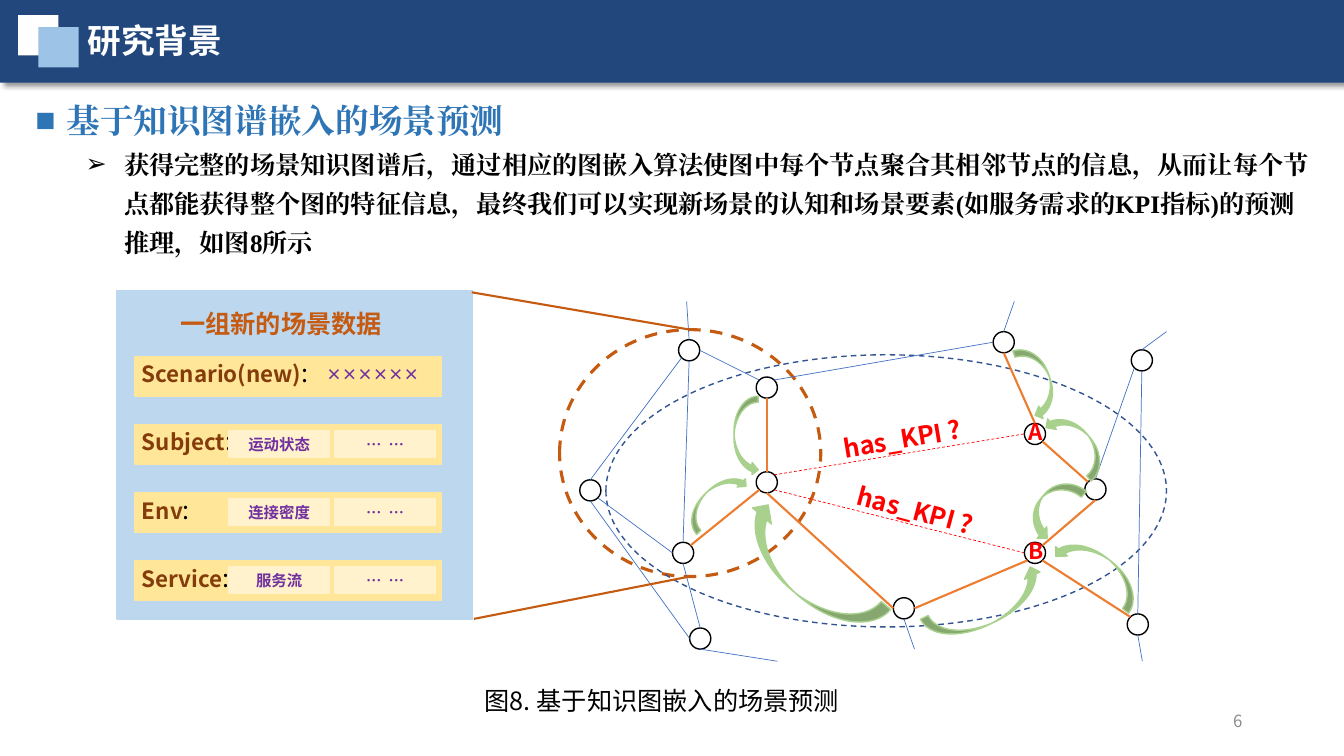
import pptx
import pptx.dml.color
import pptx.enum.dml
import pptx.enum.shapes
import pptx.enum.text
import pptx.oxml
import pptx.oxml.ns
import pptx.util
from dataclasses import dataclass

Inches = pptx.util.Inches
Shape = pptx.enum.shapes.MSO_SHAPE
Align = pptx.enum.text.PP_ALIGN
Anchor = pptx.enum.text.MSO_ANCHOR
NAMESPACE = pptx.oxml.ns.nsdecls("a")


@dataclass(frozen=True)
class Theme:
    sans: str = "Noto Sans CJK SC"
    serif: str = "Times New Roman"
    white: str = "FFFFFF"
    black: str = "000000"
    navy: str = "22477D"
    sky: str = "9DC3E6"
    heading: str = "2E75B6"
    scope: str = "325491"
    relation: str = "4472C4"
    path_orange: str = "ED7D31"
    rust: str = "C55A11"
    red: str = "FF0000"
    green: str = "A9D18E"
    panel: str = "BDD7EE"
    row: str = "FFE699"
    cell: str = "FFF2CC"
    brown: str = "843C0B"
    purple: str = "7030A0"
    gray: str = "8C8C8C"
    title_size: int = 24
    body_size: int = 18
    label_size: int = 16
    number_size: int = 12
    cell_size: int = 11


class SlideBuilder:
    def __init__(self, presentation, theme):
        self.theme = theme
        self.slide = presentation.slides.add_slide(presentation.slide_layouts[1])

    def place(self, shape, box):
        shape.left, shape.top, shape.width, shape.height = map(Inches, box)

    def style(self, run, size, color, bold=True, font=None):
        run.font.size = pptx.util.Pt(size)
        run.font.bold = bold
        run.font.color.rgb = pptx.dml.color.RGBColor.from_string(color)
        run.font.name = font or self.theme.sans
        east_asian = pptx.oxml.parse_xml(f'<a:ea {NAMESPACE} typeface="{run.font.name}"/>')
        run.font._element.find(pptx.oxml.ns.qn("a:latin")).addnext(east_asian)

    def stroke(self, line, color, width, dashed=False):
        line.color.rgb = pptx.dml.color.RGBColor.from_string(color)
        line.width = pptx.util.Pt(width)
        if dashed:
            line.dash_style = pptx.enum.dml.MSO_LINE.DASH

    def title(self, text, box):
        shape = self.slide.shapes.title
        self.slide.shapes._spTree.append(shape._element)
        self.place(shape, box)
        shape.text_frame.text = text
        shape.text_frame.vertical_anchor = Anchor.MIDDLE
        paragraph = shape.text_frame.paragraphs[0]
        paragraph.alignment = Align.LEFT
        self.style(paragraph.runs[0], self.theme.title_size, self.theme.white)

    def body(self, items, box):
        shape = self.slide.placeholders[1]
        self.slide.shapes._spTree.append(shape._element)
        self.place(shape, box)
        frame = shape.text_frame
        frame.auto_size = pptx.enum.text.MSO_AUTO_SIZE.NONE
        frame.text = "\n".join(item[0] for item in items)
        for level, (paragraph, item) in enumerate(zip(frame.paragraphs, items)):
            _, bullet, margin, indent, size, color = item
            paragraph.level = level
            paragraph.line_spacing = 1.3
            paragraph.space_before = pptx.util.Pt(0)
            properties = paragraph._p.get_or_add_pPr()
            properties.set("marL", str(Inches(margin)))
            properties.set("indent", str(Inches(-indent)))
            properties.append(pptx.oxml.parse_xml(f'<a:buFont {NAMESPACE} typeface="Arial"/>'))
            properties.append(pptx.oxml.parse_xml(f'<a:buChar {NAMESPACE} char="{bullet}"/>'))
            self.style(paragraph.runs[0], size, color, font=self.theme.serif)

    def shape(self, kind, box, fill=None, line=None, width=1, dashed=False, rotation=0):
        shape = self.slide.shapes.add_shape(kind, *map(Inches, box))
        shape.shadow.inherit = False
        shape.rotation = rotation
        if fill:
            shape.fill.solid()
            shape.fill.fore_color.rgb = pptx.dml.color.RGBColor.from_string(fill)
        else:
            shape.fill.background()
        if line:
            self.stroke(shape.line, line, width, dashed)
        else:
            shape.line.fill.background()
        return shape

    def shadow(self, shape):
        effects = shape._element.spPr.find(pptx.oxml.ns.qn("a:effectLst"))
        effects.append(pptx.oxml.parse_xml(
            f'<a:outerShdw {NAMESPACE} blurRad="50800" dist="38100" dir="2700000" algn="tl" rotWithShape="0">'
            f'<a:srgbClr val="{self.theme.black}"><a:alpha val="40000"/></a:srgbClr></a:outerShdw>'))

    def cell(self, text, box):
        shape = self.shape(Shape.RECTANGLE, box, self.theme.cell, self.theme.cell)
        shape.text_frame.text = text
        shape.text_frame.vertical_anchor = Anchor.MIDDLE
        paragraph = shape.text_frame.paragraphs[0]
        paragraph.alignment = Align.CENTER
        self.style(paragraph.runs[0], self.theme.cell_size, self.theme.purple)

    def text(self, runs, box, rotation=0, align=Align.LEFT, anchor=Anchor.TOP):
        shape = self.slide.shapes.add_textbox(*map(Inches, box))
        shape.rotation = rotation
        shape.text_frame.word_wrap = True
        shape.text_frame.vertical_anchor = anchor
        paragraph = shape.text_frame.paragraphs[0]
        paragraph.alignment = align
        for text, size, color, bold in runs:
            run = paragraph.add_run()
            run.text = text
            self.style(run, size, color, bold)

    def line(self, start, end, color, width, dashed=False):
        connector = self.slide.shapes.add_connector(
            pptx.enum.shapes.MSO_CONNECTOR.STRAIGHT, *map(Inches, start + end))
        self.stroke(connector.line, color, width, dashed)
        connector._element.spPr.append(pptx.oxml.parse_xml(f"<a:effectLst {NAMESPACE}/>"))


NODE_SIZE = 0.21
NODES = {
    "upper": (7.5, 3.74), "lower": (6.67, 5.38), "A": (10.16, 4.2), "hub": (7.5, 4.68),
    "bottom": (8.86, 5.93), "top": (9.85, 3.29), "corner": (11.18, 6.09),
    "right": (10.76, 4.75), "far": (11.22, 3.47), "B": (10.16, 5.38),
    "west": (5.75, 4.76), "south": (6.84, 6.23), "north": (6.73, 3.37),
}
RELATIONS = (
    "lower n north s", "north e upper nw", "west se lower w", "west n north sw",
    "lower s south n", "west s south w", "upper ne top w", "right n far sw", "far s corner n",
)
PATHS = (
    "hub n upper s", "hub s bottom w", "bottom e B sw", "hub sw lower ne", "top s A n",
    "A se right nw", "B se corner nw", "right s B ne",
)
PREDICTIONS = ("hub ne A w", "hub se B w")
LOOSE_ENDS = (
    ("north", "n", (6.81, 2.99)), ("south", "s", (7.71, 6.56)), ("bottom", "s", (9.07, 6.44)),
    ("top", "n", (10.06, 2.99)), ("far", "n", (11.57, 3.29)), ("corner", "s", (11.33, 6.56)),
)
FLOW_ARROWS = (
    (Shape.CURVED_LEFT_ARROW, (6.98, 4.59, 0.23, 0.74), 225.7),
    (Shape.CURVED_RIGHT_ARROW, (7.28, 3.93, 0.24, 0.79), 0),
    (Shape.CURVED_DOWN_ARROW, (7.16, 5.43, 1.72, 0.49), 220.5),
    (Shape.CURVED_LEFT_ARROW, (10.16, 3.42, 0.26, 0.74), 341),
    (Shape.CURVED_UP_ARROW, (10.3, 4.26, 0.76, 0.27), 229.9),
    (Shape.CURVED_RIGHT_ARROW, (10.29, 4.7, 0.3, 0.68), 39.8),
    (Shape.CURVED_UP_ARROW, (9.14, 5.85, 1.29, 0.34), 334.6),
    (Shape.CURVED_UP_ARROW, (10.4, 5.51, 0.99, 0.3), 218),
)
SCENE_ROWS = (("Scenario(new)", None), ("Subject", "运动状态"), ("Env", "连接密度"), ("Service", "服务流"))


def node_point(name, side):
    left, top = NODES[name]
    radius = NODE_SIZE / 2
    reach = radius if len(side) == 1 else radius * 0.71
    return (left + radius + reach * (("e" in side) - ("w" in side)),
            top + radius + reach * (("s" in side) - ("n" in side)))


def draw_header(builder, theme):
    builder.shadow(builder.shape(Shape.RECTANGLE, (0, 0, 13.33, 0.82), theme.navy))
    builder.shape(Shape.RECTANGLE, (0.18, 0.15, 0.4, 0.4), theme.white)
    builder.shape(Shape.RECTANGLE, (0.38, 0.27, 0.4, 0.4), theme.sky)
    builder.title("研究背景", (0.77, 0.15, 9.49, 0.5))
    builder.body((
        ("基于知识图谱嵌入的场景预测", "■", 0.31, 0.31, theme.title_size, theme.heading),
        ("获得完整的场景知识图谱后，通过相应的图嵌入算法使图中每个节点聚合其相邻节点的信息，从而让每个节点都能获得整个图的特征信息，"
         "最终我们可以实现新场景的认知和场景要素(如服务需求的KPI指标)的预测推理，如图8所示",
         "➢", 0.88, 0.38, theme.body_size, theme.black),
    ), (0.25, 0.82, 12.88, 1.77))


def draw_graph(builder, theme):
    builder.shape(Shape.OVAL, (5.55, 3.27, 2.59, 2.45), None, theme.rust, 2.25, True)
    builder.shape(Shape.OVAL, (6.01, 3.52, 5.56, 2.7), None, theme.scope, 1, True)
    for left, top in NODES.values():
        builder.shape(Shape.OVAL, (left, top, NODE_SIZE, NODE_SIZE), None, theme.black)
    for edges, *style in ((PREDICTIONS, theme.red, 0.5, True), (RELATIONS, theme.relation, 0.5),
                          (PATHS, theme.path_orange, 1.5)):
        for edge in edges:
            start, start_side, end, end_side = edge.split()
            builder.line(node_point(start, start_side), node_point(end, end_side), *style)
    for name, side, end in LOOSE_ENDS:
        builder.line(node_point(name, side), end, theme.relation, 0.5)
    for kind, box, rotation in FLOW_ARROWS:
        builder.shape(kind, box, theme.green, theme.green, rotation=rotation)
    for left, top, rotation in ((8.26, 4.15, 350.4), (8.39, 4.86, 15)):
        builder.text([("has_KPI ?", theme.body_size, theme.red, True)], (left, top, 1.39, 0.4), rotation)
    for name in ("A", "B"):
        left, top = NODES[name]
        builder.text([(name, theme.label_size, theme.red, True)], (left - 0.06, top - 0.1, 0.83, 0.37))


def draw_scene_panel(builder, theme):
    builder.shape(Shape.RECTANGLE, (1.16, 2.88, 3.53, 3.26), theme.panel, theme.panel)
    for index, (label, value) in enumerate(SCENE_ROWS):
        top = 3.54 + 0.675 * index
        builder.shape(Shape.RECTANGLE, (1.34, top, 3.04, 0.39), theme.row, theme.row)
        builder.text([(label, theme.label_size, theme.brown, True), (":", theme.body_size, theme.black, False)],
                     (1.31, top - 0.04, 3.23, 0.4))
        if value:
            builder.cell(value, (2.27, top + 0.06, 1, 0.26))
            builder.cell("…  …", (3.32, top + 0.06, 1, 0.26))
        else:
            builder.text([("××××××", theme.cell_size, theme.purple, True)], (3.14, top + 0.03, 1.3, 0.3))
    builder.line((4.68, 2.9), (6.84, 3.27), theme.rust, 1.5)
    builder.line((4.7, 6.14), (6.84, 5.72), theme.rust, 1.5)
    builder.text([("一组新的场景数据", theme.body_size, theme.rust, True)], (1.69, 3.01, 3.03, 0.41))


def main():
    presentation = pptx.Presentation()
    presentation.slide_width, presentation.slide_height = Inches(13.33), Inches(7.5)
    theme = Theme()
    builder = SlideBuilder(presentation, theme)
    draw_header(builder, theme)
    draw_graph(builder, theme)
    draw_scene_panel(builder, theme)
    builder.text([("图8. 基于知识图嵌入的场景预测", theme.body_size, theme.black, False)], (4.71, 6.75, 5.97, 0.4))
    builder.text([("6", theme.number_size, theme.gray, False)], (9.42, 6.95, 3, 0.4),
                 align=Align.RIGHT, anchor=Anchor.MIDDLE)
    presentation.save("out.pptx")


if __name__ == "__main__":
    main()
